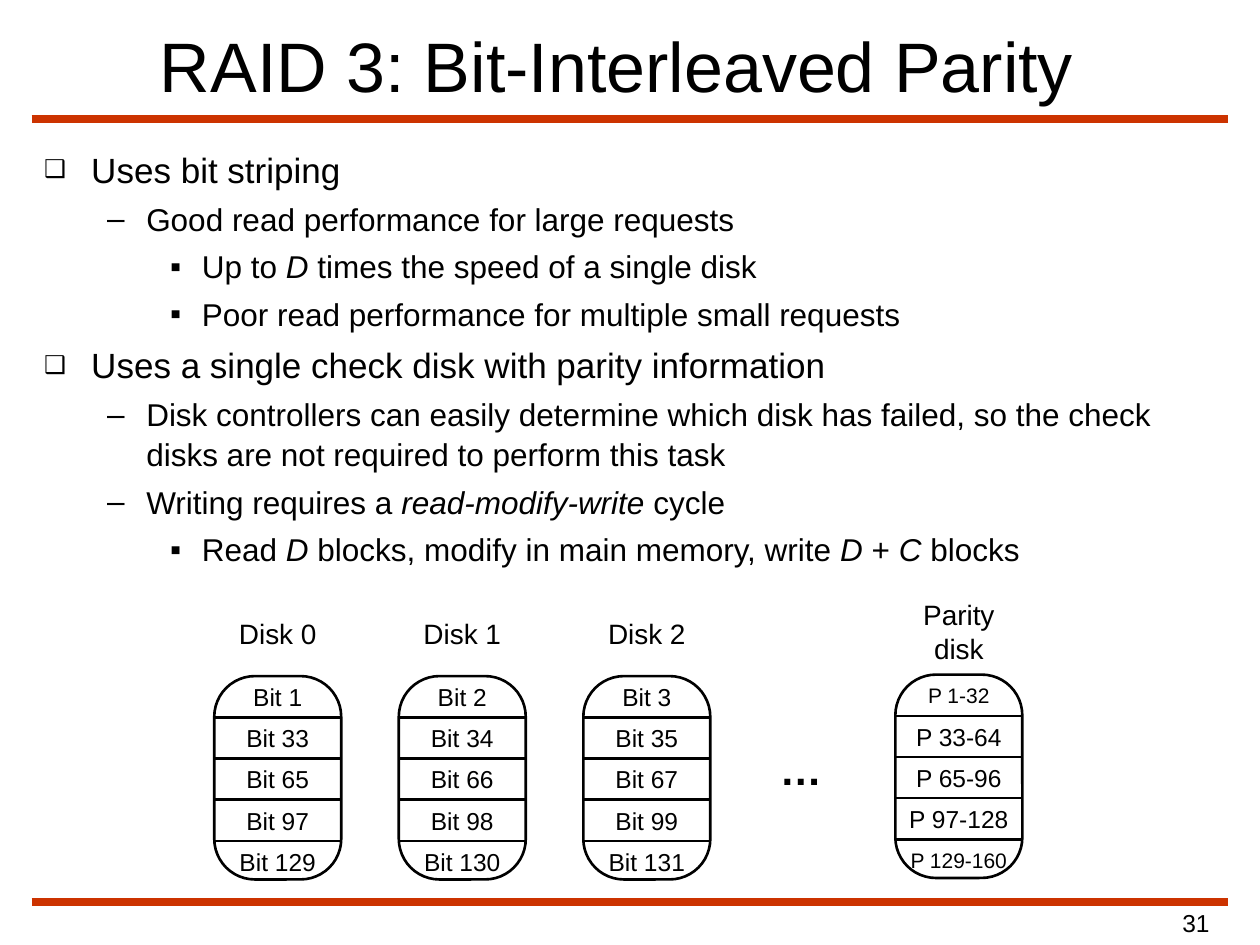
from lxml import etree
from pptx import Presentation
from pptx import util as u
from pptx.dml.color import RGBColor
from pptx.enum import shapes, text
from pptx.oxml import ns

BLACK = RGBColor(0x00, 0x00, 0x00)
RUST = RGBColor(0xCC, 0x33, 0x00)

# Each level: bullet, bullet size in percent, text indent, hanging indent, size, space before
LEVELS = [
    ("❑", 70, 0.95, 0.95, 20, 5),
    ("–", 100, 2.06, 0.79, 18, 4.5),
    ("▪", 100, 3.18, 0.64, 18, 4.5),
]
# Odd-numbered spans are italic
OUTLINE = [
    (0, ["Uses bit striping"]),
    (1, ["Good read performance for large requests"]),
    (2, ["Up to ", "D", " times the speed of a single disk"]),
    (2, ["Poor read performance for multiple small requests"]),
    (0, ["Uses a single check disk with parity information"]),
    (1, ["Disk controllers can easily determine which disk has failed, "
         "so the check disks are not required to perform this task"]),
    (1, ["Writing requires a ", "read-modify-write", " cycle"]),
    (2, ["Read ", "D", " blocks, modify in main memory, write ", "D", " + ", "C", " blocks"]),
]
DISK_LEFT, DISK_TOP, DISK_PITCH = 4.32, 13.63, 3.72
DISK_WIDTH, DISK_HEIGHT, ROW_HEIGHT = 2.56, 4.1, 0.83
PARITY_LEFT, PARITY_TOP = 18.05, 13.6


class SlideBuilder:
    """Draws styled elements on the current slide, measured in centimetres."""

    def __init__(self, page, font="Arial", color=BLACK):
        self.page, self.font, self.color = page, font, color

    def add_span(self, para, words, size, bold=False, italic=False):
        span = para.add_run()
        span.text = words
        span.font.name, span.font.size = self.font, u.Pt(size)
        span.font.bold, span.font.italic = bold, italic
        span.font.color.rgb = self.color

    def title(self, words, left, top, width, height):
        box = self.page.shapes.title
        box.left, box.top, box.width, box.height = map(u.Cm, (left, top, width, height))
        frame = box.text_frame
        frame.auto_size = text.MSO_AUTO_SIZE.NONE
        frame.vertical_anchor = text.MSO_ANCHOR.MIDDLE
        para = frame.paragraphs[0]
        para.alignment = text.PP_ALIGN.LEFT
        self.add_span(para, words, 40)

    def line(self, x1, y1, x2, y2, width=1.5, color=BLACK):
        line = self.page.shapes.add_connector(
            shapes.MSO_CONNECTOR.STRAIGHT, *map(u.Cm, (x1, y1, x2, y2)))
        line.line.color.rgb, line.line.width = color, u.Pt(width)
        etree.SubElement(line._element.spPr, ns.qn("a:effectLst"))

    def label(self, words, left, top, width, height, size, bold=False):
        box = self.page.shapes.add_textbox(*map(u.Cm, (left, top, width, height)))
        frame = box.text_frame
        frame.word_wrap = False
        frame.vertical_anchor = text.MSO_ANCHOR.MIDDLE
        frame.margin_left = frame.margin_right = frame.margin_top = frame.margin_bottom = 0
        para = frame.paragraphs[0]
        para.alignment = text.PP_ALIGN.CENTER
        self.add_span(para, words, size, bold)

    def add_bullet(self, para, level):
        char, percent, indent, hanging, _, space = LEVELS[level]
        props = para._p.get_or_add_pPr()
        props.set("marL", str(u.Cm(indent)))
        props.set("indent", str(-u.Cm(hanging)))
        etree.SubElement(props, ns.qn("a:buSzPct"), val=str(percent * 1000))
        etree.SubElement(props, ns.qn("a:buFont"), typeface=self.font)
        etree.SubElement(props, ns.qn("a:buChar"), char=char)
        para.level = level
        para.line_spacing = 1.05
        para.space_before = u.Pt(space)

    def outline(self, items, left, top, width, height):
        box = self.page.shapes.add_textbox(*map(u.Cm, (left, top, width, height)))
        frame = box.text_frame
        frame.word_wrap = True
        for number, (level, spans) in enumerate(items):
            para = frame.add_paragraph() if number else frame.paragraphs[0]
            self.add_bullet(para, level)
            if number == 0:
                para.space_before = u.Pt(0)
            for index, words in enumerate(spans):
                self.add_span(para, words, LEVELS[level][4], italic=index % 2 == 1)

    def disk(self, name, rows, left, top, end_size=14):
        body = self.page.shapes.add_shape(
            shapes.MSO_SHAPE.ROUNDED_RECTANGLE,
            *map(u.Cm, (left, top, DISK_WIDTH, DISK_HEIGHT)))
        body.adjustments[0] = 0.32
        body.shadow.inherit = False
        body.fill.background()
        body.line.color.rgb, body.line.width = BLACK, u.Pt(1.5)
        self.label(name, left, top - 1.34, DISK_WIDTH, 0.94, 16)
        for index, words in enumerate(rows):
            y = top + index * ROW_HEIGHT
            if index:
                self.line(left, y, left + DISK_WIDTH, y)
            size = end_size if index in (0, len(rows) - 1) else 14
            self.label(words, left, y, DISK_WIDTH, ROW_HEIGHT, size)


def main():
    deck = Presentation()
    deck.slide_width, deck.slide_height = u.Cm(25.4), u.Cm(19.05)
    builder = SlideBuilder(deck.slides.add_slide(deck.slide_layouts[5]))
    for y in (2.39, 18.19):
        builder.line(0.64, y, 24.76, y, 4.5, RUST)
    builder.title("RAID 3: Bit-Interleaved Parity", 2.97, 0.2, 21.79, 2.21)
    builder.outline(OUTLINE, 0.64, 2.82, 24.13, 15.06)
    for disk in range(3):
        bits = [f"Bit {disk + 1 + 32 * row}" for row in range(5)]
        builder.disk(f"Disk {disk}", bits, DISK_LEFT + disk * DISK_PITCH, DISK_TOP)
    parity = [f"P {32 * row + 1}-{32 * row + 32}" for row in range(5)]
    builder.disk("Parity disk", parity, PARITY_LEFT, PARITY_TOP, end_size=12)
    builder.label("…", 15.47, 14.86, 1.35, 1.27, 24, bold=True)
    builder.label("31", 23.22, 18.31, 1.78, 0.58, 14)
    deck.save("out.pptx")


if __name__ == "__main__":
    main()
